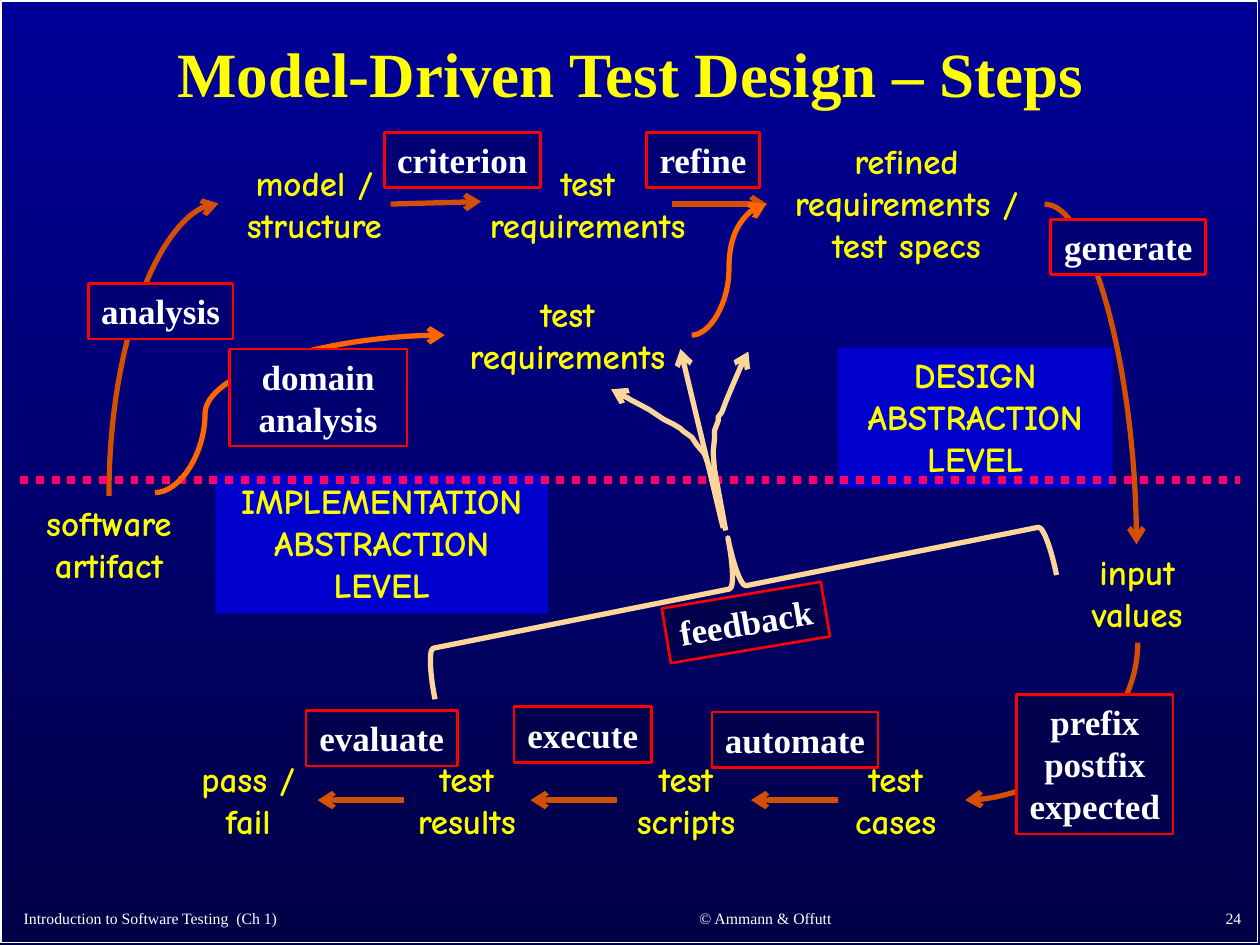
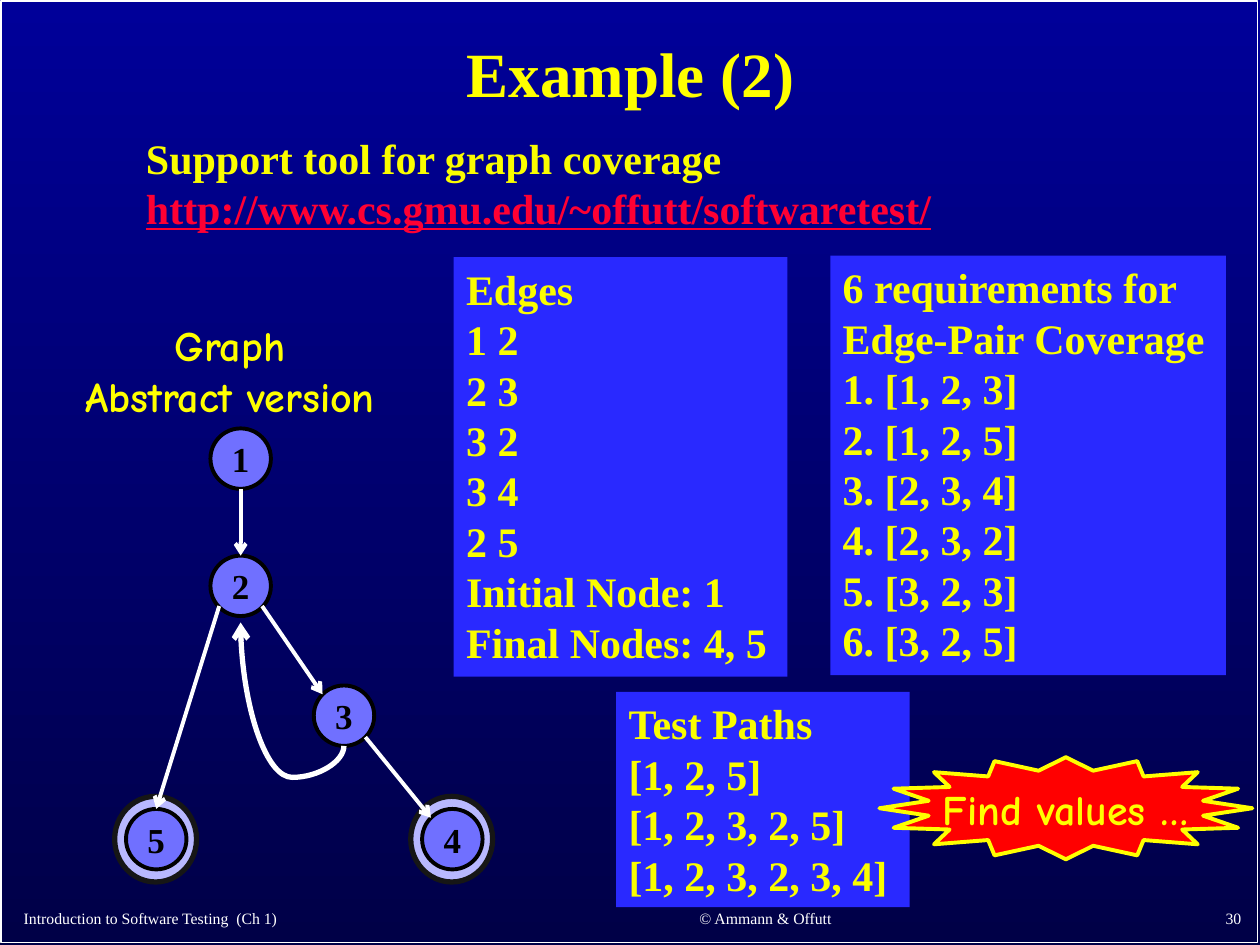
from dataclasses import dataclass

from lxml import etree
from pptx import Presentation
from pptx.dml.color import RGBColor
from pptx.enum.dml import MSO_LINE
from pptx.enum.shapes import MSO_CONNECTOR, MSO_SHAPE
from pptx.enum.text import MSO_ANCHOR, MSO_AUTO_SIZE, PP_ALIGN
from pptx.oxml.ns import qn
from pptx.util import Pt

PX = 9144
LEFT, CENTER, RIGHT = PP_ALIGN.LEFT, PP_ALIGN.CENTER, PP_ALIGN.RIGHT
TOP, MIDDLE, BOTTOM = MSO_ANCHOR.TOP, MSO_ANCHOR.MIDDLE, MSO_ANCHOR.BOTTOM
GROW, FIXED = MSO_AUTO_SIZE.SHAPE_TO_FIT_TEXT, MSO_AUTO_SIZE.NONE
STRAIGHT, CURVE = MSO_CONNECTOR.STRAIGHT, MSO_CONNECTOR.CURVE
RECT, OVAL = MSO_SHAPE.RECTANGLE, MSO_SHAPE.OVAL
BRACE, STAR = MSO_SHAPE.LEFT_BRACE, MSO_SHAPE.STAR_16_POINT
DOTTED = MSO_LINE.ROUND_DOT
SERIF, COMIC = "Times New Roman", "Comic Neue"
COLORS = {
    "sky": "000099", "night": "000047", "white": "FFFFFF", "black": "000000",
    "title": "FFFF00", "note": "FAFD00", "link": "FF0033", "red": "FF0000",
    "step": "D45000", "domain": "FF6600", "divider": "FF0066", "feedback": "FFD699",
    "upper": "000073", "lower": "00004C", "level": "0000CC", "panel": "2929FF",
    "node": "7070FF", "ring": "B8B8FF", "ring_edge": "161616",
}


@dataclass(frozen=True)
class Style:
    font: str
    size: int
    color: str
    align: PP_ALIGN = CENTER
    bold: bool = True


TITLE = Style(SERIF, 36, "title")
NOTE = Style(COMIC, 20, "note")
DOMAIN_NOTE = Style(COMIC, 20, "title")
LABEL = Style(SERIF, 20, "white")
NODE = Style(SERIF, 20, "black")
PANEL = Style(SERIF, 24, "note", LEFT)
CAPTION = Style(COMIC, 24, "title")


@dataclass(frozen=True)
class Box:
    text: str
    left: int
    top: int
    width: int
    lines: int
    style: Style
    fill: str | None = None
    edge: str | None = None
    wrap: bool = True
    rotation: float = 0


@dataclass(frozen=True)
class Footer:
    text: str
    left: int
    top: int
    width: int
    height: int
    align: PP_ALIGN


@dataclass(frozen=True)
class Curve:
    left: int
    top: int
    width: int
    height: int
    color: str
    bends: int
    rotation: int = 0
    flip: str = ""
    bend_at: int | None = None
    weight: float = 3


def label(text: str, left: int, top: int, width: int, fill: str, lines: int = 1,
          wrap: bool = False, rotation: float = 0) -> Box:
    return Box(text, left, top, width, lines, LABEL, fill, "red", wrap, rotation)


NOTES = [
    Box("software artifact", 11, 393, 151, 2, NOTE),
    Box("model / structure", 174, 123, 151, 2, NOTE),
    Box("test requirements", 368, 123, 197, 2, NOTE),
    Box("refined requirements / test specs", 609, 106, 221, 3, NOTE),
    Box("input values", 827, 432, 151, 2, NOTE),
    Box("test cases", 656, 596, 110, 2, NOTE),
    Box("test scripts", 482, 596, 125, 2, NOTE),
    Box("test results", 308, 596, 125, 2, NOTE),
    Box("pass / fail", 135, 596, 124, 2, NOTE),
    Box("test requirements", 352, 227, 197, 2, DOMAIN_NOTE),
]
LEVELS = [
    Box("IMPLEMENTATION\nABSTRACTION\nLEVEL", 171, 376, 264, 3, NOTE, "level", wrap=False),
    Box("DESIGN\nABSTRACTION\nLEVEL", 665, 276, 218, 3, NOTE, "level", wrap=False),
]
STEP_LABELS = [
    label("analysis", 70, 225, 115, "upper"),
    label("criterion", 305, 105, 124, "upper"),
    label("refine", 513, 105, 90, "upper"),
    label("generate", 834, 174, 123, "upper"),
    label("prefix\npostfix\nexpected", 807, 551, 124, "lower", 3),
    label("automate", 565, 565, 132, "lower"),
    label("execute", 408, 561, 109, "lower"),
    label("evaluate", 243, 564, 120, "lower"),
    label("domain analysis", 182, 277, 141, "upper", 2, wrap=True),
]
FEEDBACK_LABEL = label("feedback", 528, 472, 128, "lower", rotation=350.5)
STEP_CURVES = [
    Curve(14, 234, 232, 87, "step", 2, 90, "HV"),
    Curve(772, 504, 125, 137, "step", 2, 90),
    Curve(829, 162, 73, 270, "step", 2),
]
DOMAIN_CURVES = [
    Curve(123, 266, 230, 125, "domain", 3, flip="V", bend_at=17300),
    Curve(549, 162, 59, 104, "domain", 3, flip="V", bend_at=50000),
]
FEEDBACK_PATHS = [
    [(576, 421), (567, 372), (566, 359), (567, 349), (567, 342), (570, 334), (570, 331),
     (573, 327), (576, 319), (581, 307), (587, 293), (589, 288), (591, 285), (594, 279)],
    [(573, 415), (563, 371), (559, 360), (553, 353), (549, 347), (542, 342), (540, 340),
     (535, 337), (527, 333), (515, 325), (500, 317), (495, 314), (492, 312), (485, 309)],
]
NODES = {"4": (335, 642), "5": (100, 642), "3": (249, 544), "2": (167, 441), "1": (167, 340)}
FINAL_NODES = ("5", "4")
EDGES = [(191, 388, 191, 441), (174, 481, 124, 642), (290, 585, 342, 649), (208, 481, 256, 551)]
BACK_EDGE = Curve(183, 502, 98, 82, "white", 3, 90, "H", -25500)
PANELS = [
    Box("Graph\nAbstract version", 18, 249, 329, 2, CAPTION),
    Box("Edges\n1 2\n2 3\n3 2\n3 4\n2 5\nInitial Node: 1\nFinal Nodes: 4, 5",
        360, 204, 265, 8, PANEL, "panel"),
    Box("6 requirements for Edge-Pair Coverage\n1. [1, 2, 3]\n2. [1, 2, 5]\n3. [2, 3, 4]\n"
        "4. [2, 3, 2]\n5. [3, 2, 3]\n6. [3, 2, 5]", 659, 203, 314, 8, PANEL, "panel"),
    Box("Test Paths\n[1, 2, 5]\n[1, 2, 3, 2, 5]\n[1, 2, 3, 2, 3, 4]",
        489, 549, 233, 4, PANEL, "panel"),
]
SUPPORT_TOOL = Box(
    "Support tool for graph coverage\nhttp://www.cs.gmu.edu/~offutt/softwaretest/",
    106, 100, 788, 2, PANEL)


def rgb(color: str) -> RGBColor:
    return RGBColor.from_string(COLORS[color])


def paint_line(line, color: str, weight: float, arrow: bool = False) -> None:
    line.color.rgb = rgb(color)
    line.width = Pt(weight)
    if arrow:
        etree.SubElement(line._get_or_add_ln(), qn("a:tailEnd"), type="arrow")


def write(shape, text: str, style: Style, anchor=TOP, wrap: bool = True, fit=FIXED) -> None:
    frame = shape.text_frame
    frame.text = text
    frame.word_wrap = wrap
    frame.auto_size = fit
    frame.vertical_anchor = anchor
    for paragraph in frame.paragraphs:
        paragraph.alignment = style.align
        for run in paragraph.runs:
            run.font.name = style.font
            run.font.size = Pt(style.size)
            run.font.bold = style.bold
            run.font.color.rgb = rgb(style.color)


def add_figure(slide, kind, left: int, top: int, width: int, height: int,
               fill: str | None = None, edge: str | None = None, weight: float = 1.5):
    figure = slide.shapes.add_shape(kind, left * PX, top * PX, width * PX, height * PX)
    figure.shadow.inherit = False
    if fill:
        figure.fill.solid()
        figure.fill.fore_color.rgb = rgb(fill)
    else:
        figure.fill.background()
    if edge:
        paint_line(figure.line, edge, weight)
    else:
        figure.line.fill.background()
    return figure


def add_box(slide, box: Box):
    height = round(10 + 1.68 * box.style.size * box.lines)
    if box.fill:
        shape = add_figure(slide, RECT, box.left, box.top, box.width, height, box.fill, box.edge)
    else:
        shape = slide.shapes.add_textbox(
            box.left * PX, box.top * PX, box.width * PX, height * PX)
    shape.rotation = box.rotation
    write(shape, box.text, box.style, wrap=box.wrap, fit=GROW)
    return shape


def add_line(slide, x1: int, y1: int, x2: int, y2: int, color: str,
             weight: float = 3, arrow: bool = True, kind=STRAIGHT):
    line = slide.shapes.add_connector(kind, x1 * PX, y1 * PX, x2 * PX, y2 * PX)
    paint_line(line.line, color, weight, arrow)
    etree.SubElement(line._element.spPr, qn("a:effectLst"))
    return line


def add_curve(slide, curve: Curve) -> None:
    line = add_line(slide, curve.left, curve.top, curve.left + curve.width,
                    curve.top + curve.height, curve.color, curve.weight, kind=CURVE)
    frame = line._element.spPr.find(qn("a:xfrm"))
    frame.set("rot", str(curve.rotation * 60000))
    for axis in curve.flip:
        frame.set(f"flip{axis}", "1")
    geometry = line._element.spPr.find(qn("a:prstGeom"))
    geometry.set("prst", f"curvedConnector{curve.bends}")
    if curve.bend_at is not None:
        guides = geometry.find(qn("a:avLst"))
        if guides is None:
            guides = etree.SubElement(geometry, qn("a:avLst"))
        etree.SubElement(guides, qn("a:gd"), name="adj1", fmla=f"val {curve.bend_at}")


def add_feedback_path(slide, points: list[tuple[int, int]]) -> None:
    builder = slide.shapes.build_freeform(*points[0], scale=PX)
    builder.add_line_segments(points[1:], close=False)
    path = builder.convert_to_shape()
    path.shadow.inherit = False
    path.fill.background()
    paint_line(path.line, "feedback", 3, arrow=True)


def start_slide(prs, heading: str, number: int):
    slide = prs.slides.add_slide(prs.slide_layouts[5])
    add_figure(slide, RECT, 1, 1, 997, 747, edge="white", weight=1)
    title = slide.shapes.title
    title.left, title.top, title.width, title.height = 10 * PX, 11 * PX, 981 * PX, 100 * PX
    write(title, heading, TITLE, MIDDLE)
    title.text_frame.paragraphs[0].line_spacing = 0.9
    for footer in (
        Footer("Introduction to Software Testing  (Ch 1)", 9, 714, 420, 27, LEFT),
        Footer("© Ammann & Offutt", 449, 713, 317, 28, CENTER),
        Footer(str(number), 787, 712, 208, 29, RIGHT),
    ):
        area = slide.shapes.add_textbox(
            footer.left * PX, footer.top * PX, footer.width * PX, footer.height * PX)
        write(area, footer.text, Style(SERIF, 9, "white", footer.align, False), BOTTOM, False)
    return slide


def build_steps(prs) -> None:
    slide = start_slide(prs, "Model-Driven Test Design – Steps", 24)
    for box in NOTES + LEVELS:
        add_box(slide, box)
    for curve in STEP_CURVES:
        add_curve(slide, curve)
    add_line(slide, 310, 162, 382, 160, "step")
    add_line(slide, 533, 162, 609, 162, "step")
    for start in (321, 490, 665):
        add_line(slide, start, 635, start - 69, 635, "step")
    divider = add_line(slide, 16, 381, 984, 381, "divider", 4.5, arrow=False)
    divider.line.dash_style = DOTTED
    for curve in DOMAIN_CURVES:
        add_curve(slide, curve)
    for box in STEP_LABELS:
        add_box(slide, box)
    brace = add_figure(slide, BRACE, 544, 215, 80, 503, edge="feedback", weight=3)
    brace.rotation = 78.7
    brace.adjustments[0], brace.adjustments[1] = 0.083, 0.497
    for points in FEEDBACK_PATHS:
        add_feedback_path(slide, points)
    add_line(slide, 574, 419, 540, 277, "feedback")
    add_box(slide, FEEDBACK_LABEL)


def build_example(prs) -> None:
    slide = start_slide(prs, "Example (2)", 30)
    support = add_box(slide, SUPPORT_TOOL)
    address = support.text_frame.paragraphs[1].runs[0].font
    address.color.rgb = rgb("link")
    address.underline = True
    for name in FINAL_NODES:
        left, top = NODES[name]
        add_figure(slide, OVAL, left - 9, top - 10, 65, 68, "ring", "ring_edge", 3)
    for name, (left, top) in NODES.items():
        node = add_figure(slide, OVAL, left, top, 48, 48, "node", "black", 2.25)
        write(node, name, NODE, MIDDLE)
    for edge in EDGES:
        add_line(slide, *edge, "white", 2.25)
    add_curve(slide, BACK_EDGE)
    for box in PANELS:
        add_box(slide, box)
    burst = add_figure(slide, STAR, 698, 601, 296, 81, "red", "title", 2.25)
    burst.adjustments[0] = 0.375
    write(burst, "Find values …", CAPTION, MIDDLE, wrap=False)


def main() -> None:
    prs = Presentation()
    prs.slide_width, prs.slide_height = 1000 * PX, 750 * PX
    backdrop = prs.slide_master.background.fill
    backdrop.gradient()
    backdrop.gradient_angle = 270
    for stop, color in zip(backdrop.gradient_stops, ("sky", "night")):
        stop.color.rgb = rgb(color)
    build_steps(prs)
    build_example(prs)
    prs.save("out.pptx")


if __name__ == "__main__":
    main()
